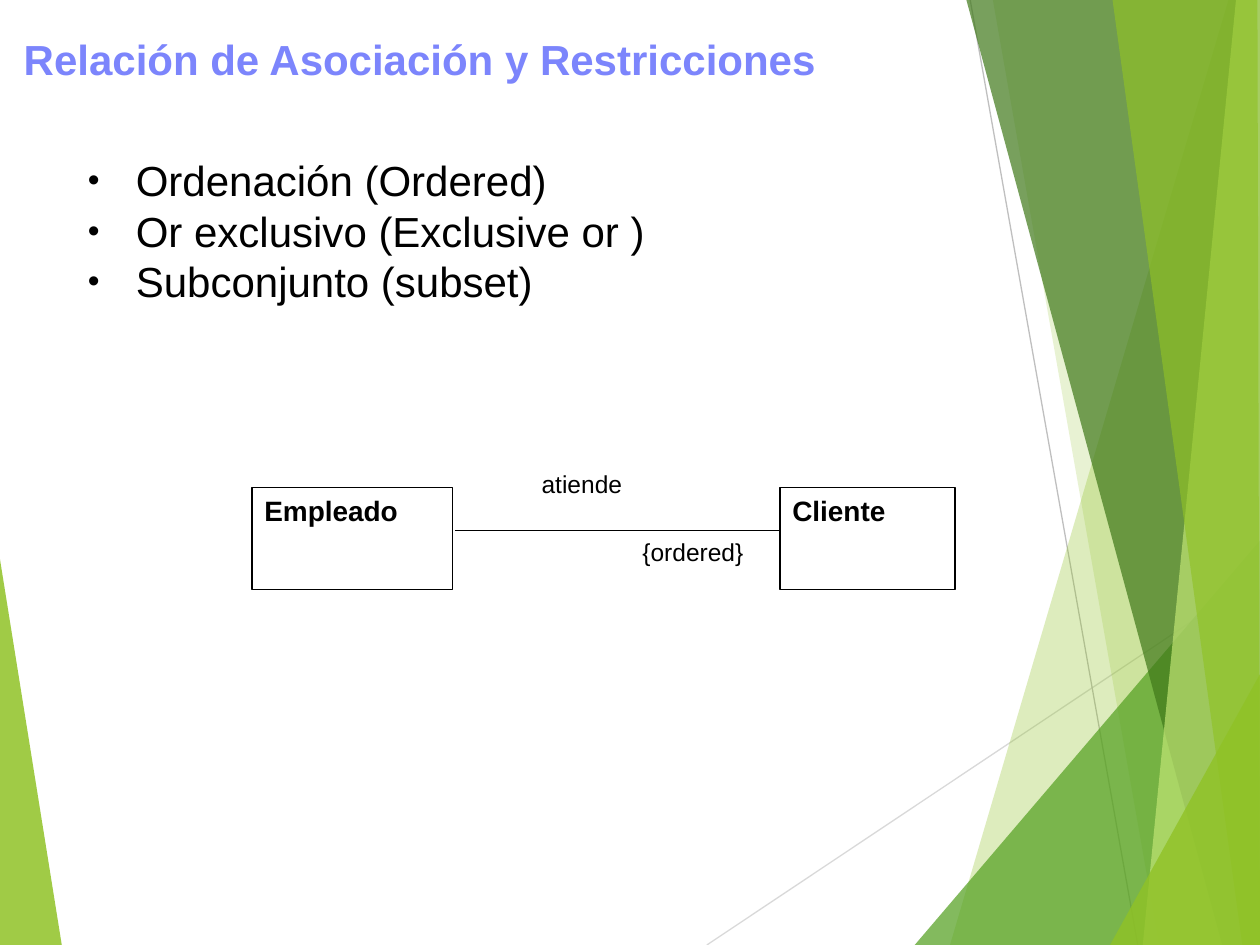
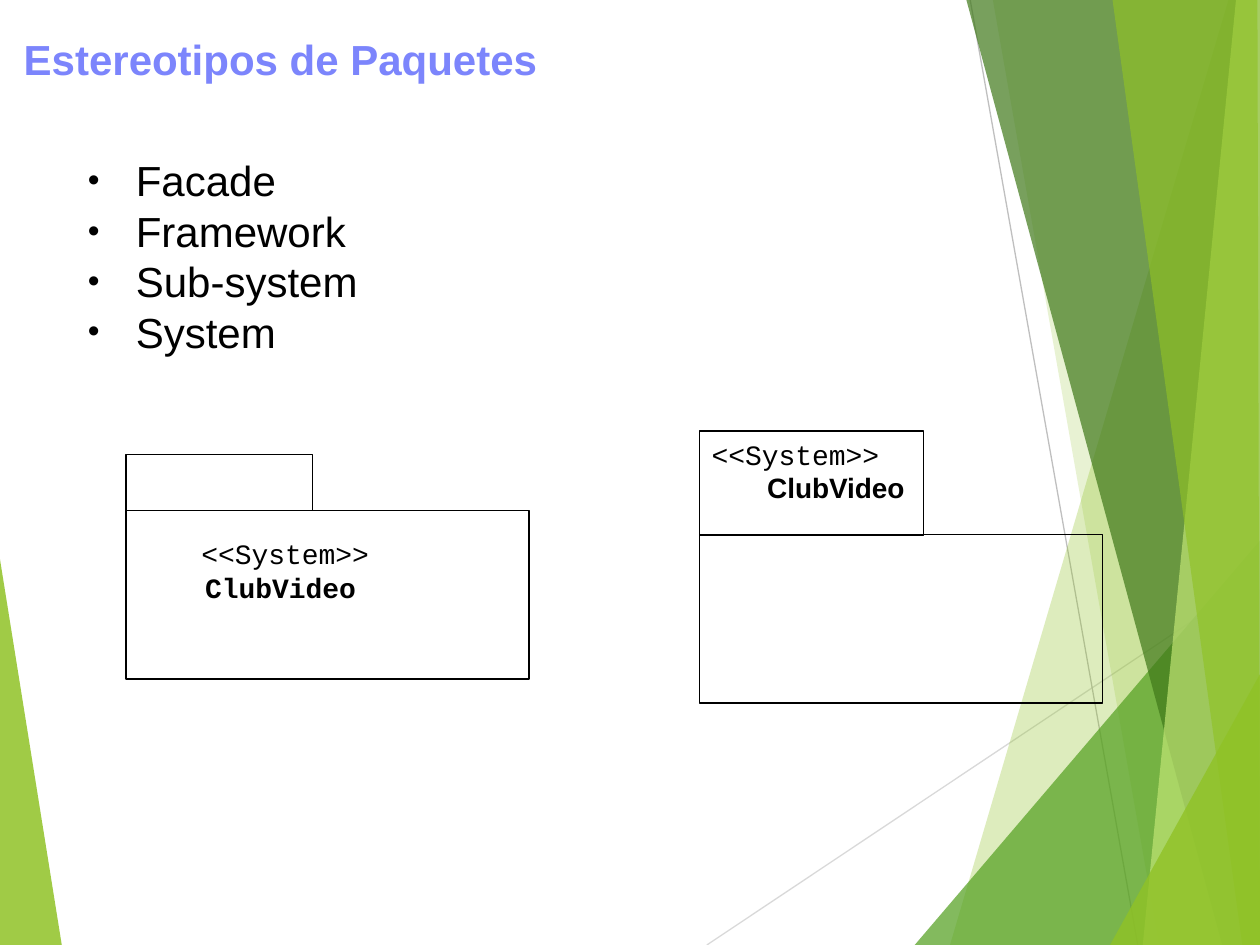
"""Build two UML slides on a green faceted backdrop."""
from dataclasses import dataclass

from lxml import etree
from pptx import Presentation
from pptx.dml.color import RGBColor
from pptx.enum.shapes import MSO_CONNECTOR, MSO_SHAPE
from pptx.enum.text import MSO_ANCHOR, PP_ALIGN
from pptx.oxml.ns import qn
from pptx.slide import Slide
from pptx.text.text import TextFrame
from pptx.util import Inches, Pt

RECT = MSO_SHAPE.RECTANGLE
STRAIGHT = MSO_CONNECTOR.STRAIGHT
TOP, BOTTOM = MSO_ANCHOR.TOP, MSO_ANCHOR.BOTTOM
LEFT = PP_ALIGN.LEFT

WIDE, HIGH = 10, 7.5
SANS, MONO = "Arial", "Courier New"
BLACK, WHITE, TITLE = "000000", "FFFFFF", "7C85FC"
LIME, GREEN, FOREST, PALE = "90C226", "54A021", "3F7819", "C0E474"
HAIR = 0.75


@dataclass
class Line:
    """A straight rule between two points."""
    start: tuple[float, float]
    end: tuple[float, float]
    color: str = BLACK


@dataclass
class Facet:
    """A see-through polygon of the backdrop."""
    color: str
    alpha: int
    points: list[tuple[float, float]]


@dataclass
class Text:
    """One paragraph and its format."""
    words: str
    size: int = 16
    bold: bool = False
    font: str = SANS
    color: str = BLACK
    indent: float = 0
    bullet: bool = False
    spacing: float = 1.0


@dataclass
class Block:
    """A text box, or a framed rectangle, with its paragraphs."""
    left: float
    top: float
    width: float
    height: float
    texts: list[Text]
    framed: bool = False
    fill: str = ""
    inset: float = 0.05
    anchor: MSO_ANCHOR = TOP


@dataclass
class Page:
    """The content of one slide."""
    title: str
    points: list[str]
    blocks: list[Block]
    lines: list[Line]


RULES = [
    Line((5.61, HIGH), (WIDE, 4.57), "D9D9D9"),
    Line((7.7, 0), (9.03, HIGH), "BFBFBF"),
]
WEDGE = Facet(LIME, 85, [(0, 4.44), (0.49, HIGH), (0, HIGH)])
FACETS = [
    Facet(LIME, 30, [(9.75, 0), (7.54, HIGH), (WIDE, HIGH), (WIDE, 0)]),
    Facet(LIME, 20, [(7.88, 0), (9.2, HIGH), (WIDE, HIGH), (WIDE, 0)]),
    Facet(GREEN, 72, [(7.26, HIGH), (WIDE, 4.29), (WIDE, HIGH)]),
    Facet(FOREST, 70, [(7.67, 0), (9.7, HIGH), (WIDE, HIGH), (WIDE, 0)]),
    Facet(PALE, 70, [(9.81, 0), (9.07, HIGH), (WIDE, HIGH), (WIDE, 0)]),
    Facet(LIME, 65, [(8.83, 0), (9.86, HIGH), (WIDE, HIGH), (9.98, 0)]),
    Facet(LIME, 80, [(8.81, HIGH), (WIDE, 5.35), (WIDE, HIGH)]),
]


def paint(target, color: str) -> None:
    """Give a fill a solid colour."""
    target.solid()
    target.fore_color.rgb = RGBColor.from_string(color)


def add_facet(slide: Slide, facet: Facet) -> None:
    """Draw a borderless polygon with transparency."""
    spots = [(Inches(x), Inches(y)) for x, y in facet.points]
    maker = slide.shapes.build_freeform(*spots[0])
    maker.add_line_segments(spots[1:], close=True)
    shape = maker.convert_to_shape()
    shape.shadow.inherit = False
    shape.line.fill.background()
    paint(shape.fill, facet.color)
    tint = shape.fill._xPr.find(".//" + qn("a:srgbClr"))
    etree.SubElement(tint, qn("a:alpha"), val=str(facet.alpha * 1000))


def add_line(slide: Slide, line: Line) -> None:
    """Draw a thin line without a shadow."""
    ends = [Inches(n) for n in (*line.start, *line.end)]
    link = slide.shapes.add_connector(STRAIGHT, *ends)
    link.line.width = Pt(HAIR)
    paint(link.line.fill, line.color)
    etree.SubElement(link._element.spPr, qn("a:effectLst"))


def add_bullet(props) -> None:
    """Put a small black bullet on a paragraph."""
    tint = etree.SubElement(props, qn("a:buClr"))
    etree.SubElement(tint, qn("a:srgbClr"), val=BLACK)
    etree.SubElement(props, qn("a:buSzPct"), val="80000")
    etree.SubElement(props, qn("a:buFont"), typeface=SANS)
    etree.SubElement(props, qn("a:buChar"), char="•")


def write(frame: TextFrame, texts: list[Text]) -> None:
    """Fill a frame with formatted paragraphs."""
    frame.text = "\n".join(text.words for text in texts)
    for para, text in zip(frame.paragraphs, texts):
        para.alignment = LEFT
        para.line_spacing = text.spacing
        props = para._p.get_or_add_pPr()
        props.set("marL", str(Inches(text.indent)))
        if text.bullet:
            props.set("indent", str(-Inches(text.indent)))
            add_bullet(props)
        for run in para.runs:
            run.font.name = text.font
            run.font.size = Pt(text.size)
            run.font.bold = text.bold
            paint(run.font.fill, text.color)


def add_block(slide: Slide, block: Block) -> None:
    """Draw a text box or a framed rectangle."""
    place = [Inches(n) for n in (block.left, block.top, block.width, block.height)]
    if block.framed:
        shape = slide.shapes.add_shape(RECT, *place)
        shape.shadow.inherit = False
        shape.line.width = Pt(HAIR)
        paint(shape.line.fill, BLACK)
        if block.fill:
            paint(shape.fill, block.fill)
        else:
            shape.fill.background()
    else:
        shape = slide.shapes.add_textbox(*place)
    if block.texts:
        frame = shape.text_frame
        frame.word_wrap = True
        frame.vertical_anchor = block.anchor
        frame.margin_top = Inches(block.inset)
        write(frame, block.texts)


def add_page(deck, page: Page) -> None:
    """Build one slide with backdrop, title, bullets and diagram."""
    slide = deck.slides.add_slide(deck.slide_layouts[6])
    add_facet(slide, WEDGE)
    for rule in RULES:
        add_line(slide, rule)
    for facet in FACETS:
        add_facet(slide, facet)
    for block in page.blocks:
        add_block(slide, block)
    for line in page.lines:
        add_line(slide, line)
    title = Text(page.title, 24, True, color=TITLE, spacing=0.9)
    add_block(slide, Block(0.09, 0.09, 9.8, 0.63, [title], anchor=BOTTOM))
    points = [Text(point, 24, indent=0.38, bullet=True) for point in page.points]
    add_block(slide, Block(0.6, 1.18, 8.8, 5.38, points))


def entity(left: float, width: float, name: str) -> Block:
    """Describe a class box of the association."""
    return Block(left, 3.87, width, 0.81, [Text(name, bold=True)], True, WHITE)


def folder(left: float, top: float, tab: Block) -> list[Block]:
    """Describe a package: its tab and an empty body."""
    return [tab, Block(left, top, 3.2, 1.34, [], True)]


STEREO = "<<System>>"
NAME = "ClubVideo"
INNER = [Text(STEREO, font=MONO, indent=0.5), Text(NAME, bold=True, font=MONO, indent=0.53)]
OUTER = [Text(STEREO, font=MONO), Text(NAME, bold=True, indent=0.44)]
plain = folder(1, 4.05, Block(1, 3.61, 1.48, 0.44, [], True))
plain[1].texts, plain[1].inset = INNER, 0.21
named = folder(5.55, 4.24, Block(5.55, 3.42, 1.78, 0.83, OUTER, True))

PAGES = [
    Page(
        "Relación de Asociación y Restricciones",
        ["Ordenación (Ordered)", "Or exclusivo (Exclusive or )", "Subconjunto (subset)"],
        [
            entity(2, 1.59, "Empleado"),
            entity(6.19, 1.39, "Cliente"),
            Block(4.2, 3.67, 1.19, 0.54, [Text("atiende", 14)]),
            Block(5, 4.21, 1.39, 0.54, [Text("{ordered}", 14)]),
        ],
        [Line((3.61, 4.21), (6.19, 4.21))],
    ),
    Page(
        "Estereotipos de Paquetes",
        ["Facade", "Framework", "Sub-system", "System"],
        plain + named,
        [],
    ),
]


def main() -> None:
    """Build and save the deck."""
    deck = Presentation()
    deck.slide_width, deck.slide_height = Inches(WIDE), Inches(HIGH)
    for page in PAGES:
        add_page(deck, page)
    deck.save("out.pptx")


if __name__ == "__main__":
    main()
